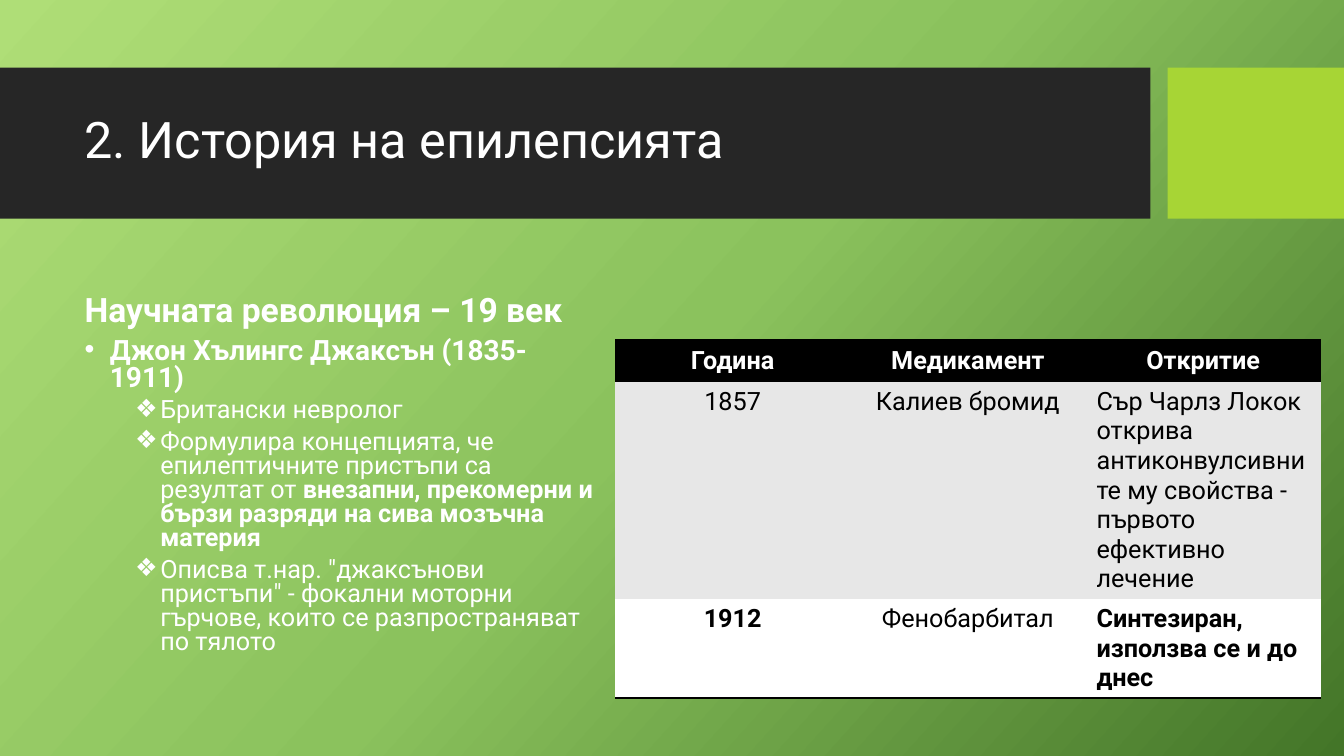
from copy import deepcopy

from lxml import etree
from pptx import Presentation
from pptx.dml.color import RGBColor
from pptx.enum.shapes import MSO_SHAPE
from pptx.enum.text import MSO_ANCHOR, MSO_AUTO_SIZE, PP_ALIGN
from pptx.oxml.ns import qn
from pptx.util import Inches, Pt

RECTANGLE = MSO_SHAPE.RECTANGLE
TOP, MIDDLE, BOTTOM = MSO_ANCHOR.TOP, MSO_ANCHOR.MIDDLE, MSO_ANCHOR.BOTTOM
LEFT, CENTER = PP_ALIGN.LEFT, PP_ALIGN.CENTER
NO_AUTOFIT = MSO_AUTO_SIZE.NONE
NO_GRID_STYLE = "{2D5ABB26-0587-4C30-8999-92F81FD0307C}"
COMPARISON_LAYOUT = 4
COLORS = {
    "light": "AFDE77", "mid": "8BC25D", "deep": "437528",
    "band": "262626", "accent": "A7D535",
    "white": "FFFFFF", "black": "000000", "gray": "E7E7E7",
}


def add_run(paragraph, text, size, color="white", bold=False):
    run = paragraph.add_run()
    run.text = text
    formats = {"name": "Roboto", "size": Pt(size), "bold": bold}
    for name, value in formats.items():
        setattr(run.font, name, value)
    run.font.color.rgb = RGBColor.from_string(COLORS[color])


def set_bullet(paragraph, symbol, indent):
    """Give the paragraph a bullet hanging 0.25 inch left of its indent."""
    properties = paragraph._p.get_or_add_pPr()
    properties.set("marL", str(Inches(indent)))
    properties.set("indent", str(Inches(-0.25)))
    etree.SubElement(properties, qn("a:buFont"), typeface="Arial")
    etree.SubElement(properties, qn("a:buChar"), char=symbol)


presentation = Presentation()
presentation.slide_width = Inches(13.33)
presentation.slide_height = Inches(7.5)
slide = presentation.slides.add_slide(presentation.slide_layouts[COMPARISON_LAYOUT])

# Background gradient
background = slide.background.fill
background.gradient()
background.gradient_angle = 360 - 42
stop_list = slide._element.find(".//" + qn("a:gsLst"))
stop_list.append(deepcopy(stop_list[0]))
for stop, position, color in zip(background.gradient_stops, (0, 0.5, 1),
                                 ("light", "mid", "deep")):
    stop.position = position
    stop.color.rgb = RGBColor.from_string(COLORS[color])

# Title band and accent block, placed behind the placeholders
for order, (left, width, color) in enumerate([(0, 11.41, "band"), (11.58, 1.75, "accent")]):
    block = slide.shapes.add_shape(RECTANGLE, Inches(left), Inches(0.67),
                                   Inches(width), Inches(1.5))
    block.shadow.inherit = False
    block.fill.solid()
    block.fill.fore_color.rgb = RGBColor.from_string(COLORS[color])
    block.line.fill.background()
    slide.shapes._spTree.insert(2 + order, block._element)

# Placeholders
placeholders = {item.placeholder_format.idx: item for item in slide.placeholders}
placements = {
    0: (0.74, 0.82, 10.51, 1.18, MIDDLE),
    1: (0.74, 2.56, 5.14, 0.76, BOTTOM),
    2: (0.74, 3.31, 5.25, 3.51, TOP),
}
for index, placeholder in placeholders.items():
    if index not in placements:
        placeholder._element.getparent().remove(placeholder._element)
        continue
    *box, anchor = placements[index]
    for name, value in zip(("left", "top", "width", "height"), box):
        setattr(placeholder, name, Inches(value))
    frame_formats = {"auto_size": NO_AUTOFIT, "word_wrap": True, "vertical_anchor": anchor}
    for name, value in frame_formats.items():
        setattr(placeholder.text_frame, name, value)

for index, text, size, bold, space in [
    (0, "2. История на епилепсията", 36, False, 0),
    (1, "Научната революция – 19 век", 24, True, 10),
]:
    heading = placeholders[index].text_frame.paragraphs[0]
    heading.alignment = LEFT
    heading.line_spacing = 0.9
    heading.space_before = Pt(space)
    add_run(heading, text, size, bold=bold)

# Bullet list: level, then (text, bold) runs
bullets = [
    (0, [("Джон Хълингс Джаксън (1835-1911)", True)]),
    (1, [("Британски невролог", False)]),
    (1, [("Формулира концепцията, че епилептичните пристъпи са резултат от ", False),
         ("внезапни, прекомерни и бързи разряди на сива мозъчна материя", True)]),
    (1, [("Описва т.нар. \"джаксънови пристъпи\" - фокални моторни гърчове, "
          "които се разпространяват по тялото", False)]),
]
levels = [("•", 0.25, 20, 10), ("❖", 0.75, 18, 5)]
body = placeholders[2].text_frame
for number, (level, runs) in enumerate(bullets):
    symbol, indent, size, space = levels[level]
    paragraph = body.add_paragraph() if number else body.paragraphs[0]
    paragraph.level = level
    paragraph.line_spacing = 0.8
    paragraph.space_before = Pt(space)
    set_bullet(paragraph, symbol, indent)
    for text, bold in runs:
        add_run(paragraph, text, size, bold=bold)

# Medication table: height, fill, text colour, bold columns, texts
rows = [
    (0.41, "black", "white", (0, 1, 2), ("Година", "Медикамент", "Откритие")),
    (2.15, "gray", "black", (), (
        "1857", "Калиев бромид",
        "Сър Чарлз Локок открива антиконвулсивните му свойства - първото ефективно лечение")),
    (0.98, "white", "black", (0, 2), (
        "1912", "Фенобарбитал", "Синтезиран, използва се и до днес")),
]
borders = {0: "a:lnT", len(rows) - 1: "a:lnB"}
frame = slide.shapes.add_table(len(rows), 3, Inches(6.1), Inches(3.38), Inches(7), Inches(3.54))
table = frame.table
table.first_row = False
table.horz_banding = False
table._tbl.tblPr.find(qn("a:tableStyleId")).text = NO_GRID_STYLE
for row_index, (height, fill, color, bold_columns, texts) in enumerate(rows):
    table.rows[row_index].height = Inches(height)
    for column_index, text in enumerate(texts):
        cell = table.cell(row_index, column_index)
        is_description = row_index > 0 and column_index == 2
        cell_formats = {
            "margin_left": Inches(0.11), "margin_right": Inches(0.11),
            "margin_top": Inches(0.05), "margin_bottom": Inches(0.05),
            "vertical_anchor": MIDDLE if is_description else TOP,
        }
        for name, value in cell_formats.items():
            setattr(cell, name, value)
        cell.fill.solid()
        cell.fill.fore_color.rgb = RGBColor.from_string(COLORS[fill])
        paragraph = cell.text_frame.paragraphs[0]
        paragraph.alignment = LEFT if is_description else CENTER
        add_run(paragraph, text, 18, color, column_index in bold_columns)
        if row_index in borders:
            border = etree.Element(qn(borders[row_index]), w=str(Pt(2)))
            solid = etree.SubElement(border, qn("a:solidFill"))
            etree.SubElement(solid, qn("a:srgbClr"), val=COLORS["black"])
            cell._tc.get_or_add_tcPr().insert(0, border)

presentation.save("out.pptx")
